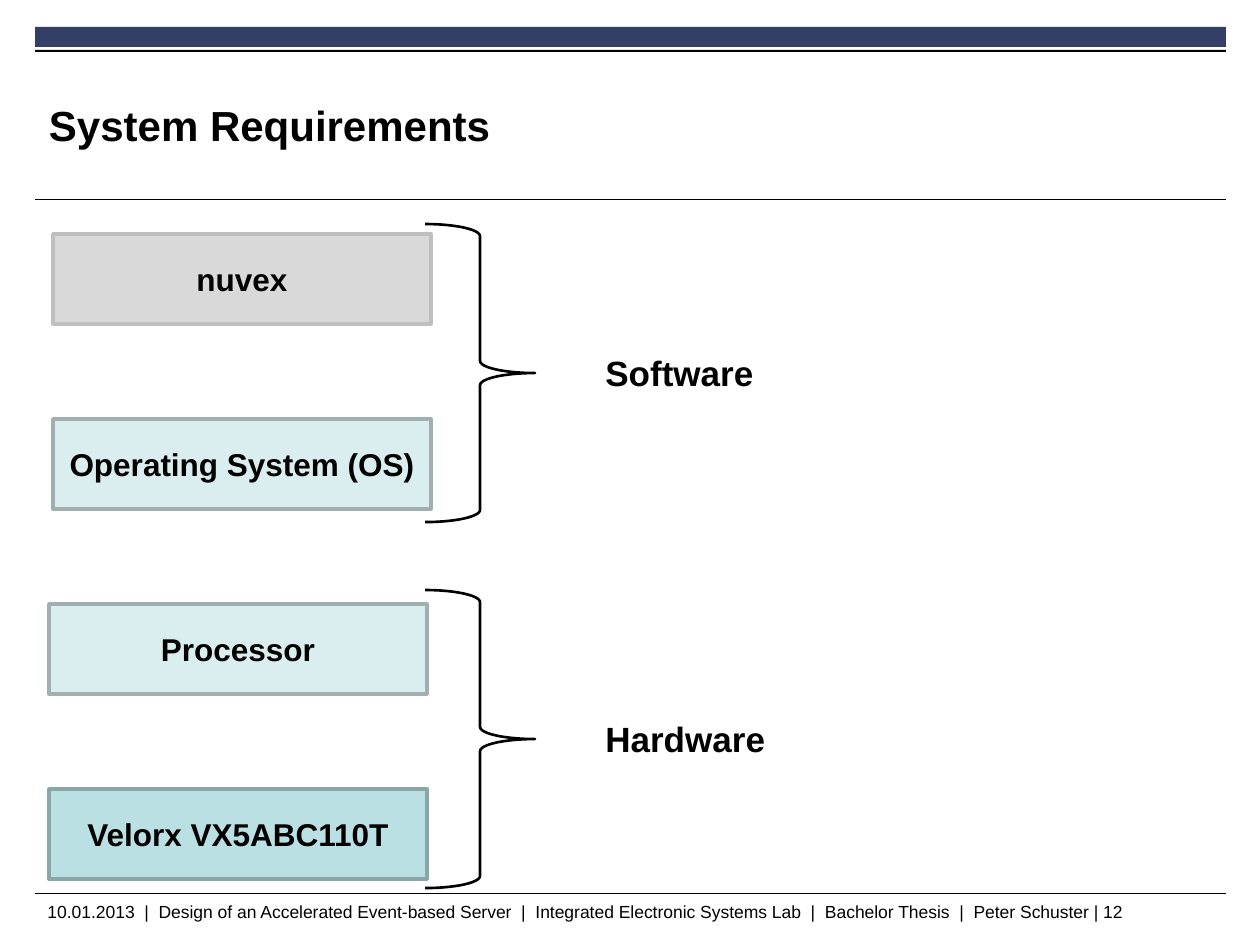
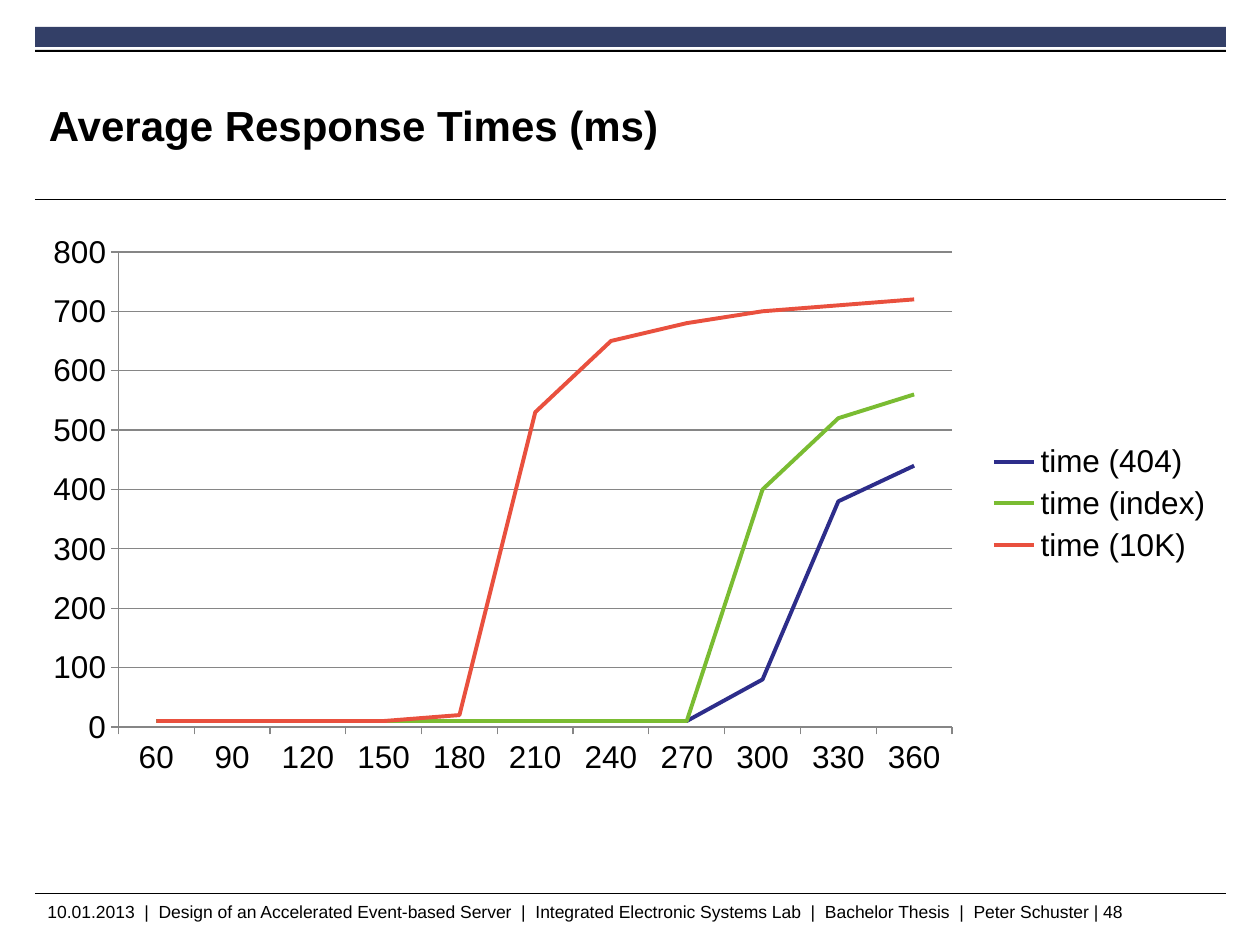
import pptx
import pptx.chart.data
import pptx.dml.color
import pptx.enum.chart
import pptx.enum.shapes
import pptx.enum.text
import pptx.oxml
import pptx.oxml.ns
import pptx.util
from lxml import etree

RGBColor = pptx.dml.color.RGBColor
SHAPE = pptx.enum.shapes.MSO_SHAPE
ALIGN = pptx.enum.text.PP_ALIGN
ANCHOR = pptx.enum.text.MSO_ANCHOR

BLACK = RGBColor(0x00, 0x00, 0x00)
NAVY = RGBColor(0x33, 0x3F, 0x67)
GREY = RGBColor(0xD9, 0xD9, 0xD9)
GREY_EDGE = RGBColor(0xBF, 0xBF, 0xBF)
PALE = RGBColor(0xDA, 0xED, 0xEF)
PALE_EDGE = RGBColor(0xA1, 0xAF, 0xB1)
TEAL = RGBColor(0xBB, 0xE0, 0xE3)
TEAL_EDGE = RGBColor(0x8A, 0xA6, 0xA8)
AXIS_GREY = RGBColor(0x86, 0x86, 0x86)
BLUE = RGBColor(0x2D, 0x2D, 0x8A)
GREEN = RGBColor(0x7A, 0xBC, 0x32)
RED = RGBColor(0xE9, 0x50, 0x3E)

FONT = "Arial"
PX_PER_INCH = 126
SLIDE_SIZE = (1260, 945)
MARGIN, CONTENT_WIDTH = 35, 1191

FOOTER_PARTS = ["10.01.2013", "Design of an Accelerated Event-based Server",
                "Integrated Electronic Systems Lab", "Bachelor Thesis", "Peter Schuster"]

# Each layer: name, left, fill, edge
LAYERS = [
    ("nuvex", 53, GREY, GREY_EDGE),
    ("Operating System (OS)", 53, PALE, PALE_EDGE),
    ("Processor", 49, PALE, PALE_EDGE),
    ("Velorx VX5ABC110T", 49, TEAL, TEAL_EDGE),
]
LAYER_TOP, LAYER_STEP, LAYER_SIZE = 234, 185, (378, 90)
GROUPS = [("Software", 224), ("Hardware", 590)]

REQUEST_RATES = ["60", "90", "120", "150", "180", "210", "240", "270", "300", "330", "360"]
RESPONSE_TIMES = [
    ("time (404)", BLUE, [10, 10, 10, 10, 10, 10, 10, 10, 80, 380, 440]),
    ("time (index)", GREEN, [10, 10, 10, 10, 10, 10, 10, 10, 400, 520, 560]),
    ("time (10K)", RED, [10, 10, 10, 10, 20, 530, 650, 680, 700, 710, 720]),
]
PLOT_AREA = {"x": 0.07, "y": 0.05, "w": 0.7, "h": 0.85}


def px(length):
    return pptx.util.Emu(round(length * 914400 / PX_PER_INCH))


def set_font(font, size, bold=False):
    font.name = FONT
    font.size = pptx.util.Pt(size)
    font.bold = bold
    font.color.rgb = BLACK


def write(shape, text, size, bold=False, align=ALIGN.LEFT, anchor=ANCHOR.TOP, inset=None):
    frame = shape.text_frame
    frame.word_wrap = True
    frame.vertical_anchor = anchor
    if inset is not None:
        frame.margin_left = frame.margin_right = px(inset)
        frame.margin_top = frame.margin_bottom = px(inset)
    paragraph = frame.paragraphs[0]
    paragraph.alignment = align
    run = paragraph.add_run()
    run.text = text
    set_font(run.font, size, bold)


def add_text(slide, box, text, **text_format):
    write(slide.shapes.add_textbox(*map(px, box)), text, **text_format)


def add_shape(slide, kind, box, fill=None, edge=None, edge_width=2):
    shape = slide.shapes.add_shape(kind, *map(px, box))
    shape.shadow.inherit = False
    if fill is None:
        shape.fill.background()
    else:
        shape.fill.solid()
        shape.fill.fore_color.rgb = fill
    if edge is None:
        shape.line.fill.background()
    else:
        shape.line.color.rgb = edge
        shape.line.width = pptx.util.Pt(edge_width)
    return shape


def add_rule(slide, y):
    rule = slide.shapes.add_connector(
        pptx.enum.shapes.MSO_CONNECTOR.STRAIGHT,
        px(MARGIN), px(y), px(MARGIN + CONTENT_WIDTH), px(y))
    rule.line.color.rgb = BLACK
    rule.line.width = pptx.util.Pt(0.6)
    etree.SubElement(rule.element.spPr, pptx.oxml.ns.qn("a:effectLst"))


def add_slide(presentation, title, number):
    """Add a slide with the shared bands, rules, title and footer."""
    slide = presentation.slides.add_slide(presentation.slide_layouts[6])
    add_shape(slide, SHAPE.RECTANGLE, (MARGIN, 27, CONTENT_WIDTH, 20), NAVY)
    add_shape(slide, SHAPE.RECTANGLE, (MARGIN, 50, CONTENT_WIDTH, 2), BLACK)
    add_rule(slide, 200)
    add_rule(slide, 894)
    footer = "  |  ".join(FOOTER_PARTS) + f" | {number}"
    add_text(slide, (MARGIN, 895, CONTENT_WIDTH, 31), footer, size=10)
    add_text(slide, (49, 67, 948, 116), title, size=24, bold=True,
             anchor=ANCHOR.MIDDLE, inset=0)
    return slide


def add_layer_stack(slide):
    for index, (name, left, fill, edge) in enumerate(LAYERS):
        box = (left, LAYER_TOP + index * LAYER_STEP, *LAYER_SIZE)
        layer = add_shape(slide, SHAPE.RECTANGLE, box, fill, edge)
        write(layer, name, size=18, bold=True, align=ALIGN.CENTER, anchor=ANCHOR.MIDDLE)
    for name, top in GROUPS:
        brace = add_shape(slide, SHAPE.LEFT_BRACE, (425, top, 110, 298),
                          edge=BLACK, edge_width=1.5)
        brace.rotation = 180
        brace.adjustments[0] = 0.11
        add_text(slide, (593, top + 121, 406, 55), name, size=20, bold=True)


def place_plot_area(chart):
    """Fix the inner plot area as fractions of the chart."""
    plot_area = chart.element.chart.plotArea
    for layout in plot_area.findall(pptx.oxml.ns.qn("c:layout")):
        plot_area.remove(layout)
    positions = "".join(f'<c:{key} val="{value}"/>' for key, value in PLOT_AREA.items())
    plot_area.insert(0, pptx.oxml.parse_xml(
        f'<c:layout {pptx.oxml.ns.nsdecls("c")}><c:manualLayout>'
        '<c:layoutTarget val="inner"/><c:xMode val="edge"/><c:yMode val="edge"/>'
        f'{positions}</c:manualLayout></c:layout>'))


def add_response_chart(slide):
    data = pptx.chart.data.CategoryChartData()
    data.categories = REQUEST_RATES
    for name, _, times in RESPONSE_TIMES:
        data.add_series(name, times)
    box = (MARGIN, 224, CONTENT_WIDTH, 559)
    chart = slide.shapes.add_chart(
        pptx.enum.chart.XL_CHART_TYPE.LINE, *map(px, box), data).chart
    set_font(chart.font, 18)
    chart.has_title = False
    chart.has_legend = True
    chart.legend.position = pptx.enum.chart.XL_LEGEND_POSITION.RIGHT
    chart.legend.include_in_layout = False
    chart.plots[0].vary_by_categories = False

    value_axis = chart.value_axis
    value_axis.minimum_scale, value_axis.maximum_scale = 0, 800
    value_axis.major_unit = 100
    value_axis.has_major_gridlines = True
    for part in (value_axis, chart.category_axis, value_axis.major_gridlines):
        part.format.line.color.rgb = AXIS_GREY
        part.format.line.width = pptx.util.Pt(0.75)
    for axis in (value_axis, chart.category_axis):
        axis.major_tick_mark = pptx.enum.chart.XL_TICK_MARK.OUTSIDE

    for series, (_, color, _) in zip(chart.plots[0].series, RESPONSE_TIMES):
        series.smooth = False
        series.marker.style = pptx.enum.chart.XL_MARKER_STYLE.NONE
        series.format.line.color.rgb = color
        series.format.line.width = pptx.util.Pt(2.25)
    place_plot_area(chart)


def main():
    presentation = pptx.Presentation()
    presentation.slide_width, presentation.slide_height = map(px, SLIDE_SIZE)
    add_layer_stack(add_slide(presentation, "System Requirements", 12))
    add_response_chart(add_slide(presentation, "Average Response Times (ms)", 48))
    presentation.save("out.pptx")


if __name__ == "__main__":
    main()
